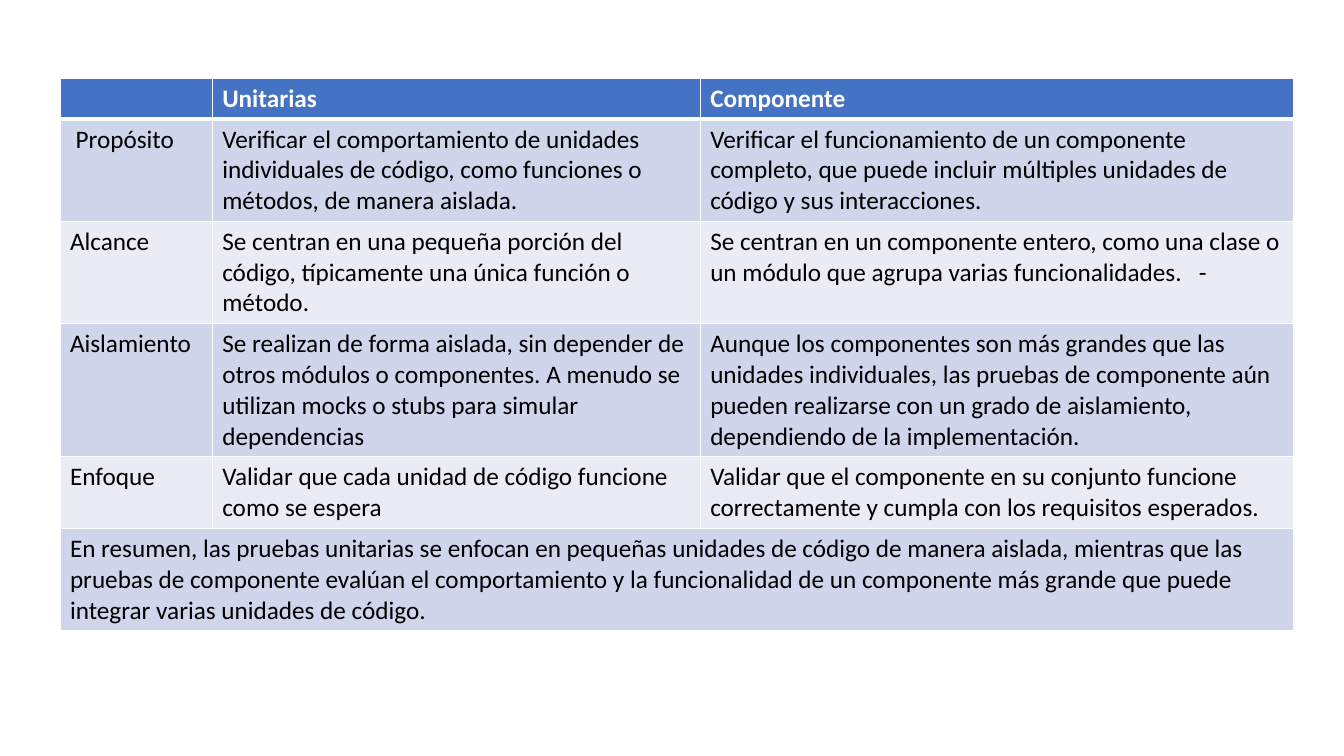
import pptx
import pptx.util
import pptx.dml.color
import pptx.oxml

WHITE, BLACK, BLUE = "FFFFFF", "000000", "4472C4"
BANDS = ["CFD5EA", "E9EBF5"]
WIDTHS = [11.33, 36.31, 44.19]
LINES = [1, 3, 3, 4, 2, 3]
ROWS = [
    ["", "Unitarias", "Componente"],
    [" Propósito",
     "Verificar el comportamiento de unidades individuales de código, como funciones o métodos, de manera aislada.",
     "Verificar el funcionamiento de un componente completo, que puede incluir múltiples unidades de código "
     "y sus interacciones."],
    ["Alcance",
     "Se centran en una pequeña porción del código, típicamente una única función o método.",
     "Se centran en un componente entero, como una clase o un módulo que agrupa varias funcionalidades.   -"],
    ["Aislamiento",
     "Se realizan de forma aislada, sin depender de otros módulos o componentes. A menudo se utilizan mocks "
     "o stubs para simular dependencias",
     "Aunque los componentes son más grandes que las unidades individuales, las pruebas de componente aún "
     "pueden realizarse con un grado de aislamiento, dependiendo de la implementación."],
    ["Enfoque",
     "Validar que cada unidad de código funcione como se espera",
     "Validar que el componente en su conjunto funcione correctamente y cumpla con los requisitos esperados."],
    ["En resumen, las pruebas unitarias se enfocan en pequeñas unidades de código de manera aislada, mientras "
     "que las pruebas de componente evalúan el comportamiento y la funcionalidad de un componente más grande "
     "que puede integrar varias unidades de código.", "", ""],
]


def tint(code):
    return pptx.dml.color.RGBColor.from_string(code)


class Deck:
    """Holds the style and current slide; lengths are percentages of the slide."""

    def __init__(self, font="Calibri", size=18):
        self.font, self.size = font, size
        self.show = pptx.Presentation()
        self.show.slide_width = pptx.util.Inches(13.33)
        self.show.slide_height = pptx.util.Inches(7.5)
        self.slide = self.show.slides.add_slide(self.show.slide_layouts[6])

    def across(self, share):
        return round(self.show.slide_width * share / 100)

    def down(self, share):
        return round(self.show.slide_height * share / 100)

    def label(self, frame, text, color, bold):
        run = frame.paragraphs[0].add_run()
        run.text = text
        run.font.name, run.font.size = self.font, pptx.util.Pt(self.size)
        run.font.bold = bold
        run.font.color.rgb = tint(color)

    def edge(self, cell, side, width):
        props = cell._tc.get_or_add_tcPr()
        props.append(pptx.oxml.parse_xml(
            f'<a:ln{side} xmlns:a="http://schemas.openxmlformats.org/drawingml/2006/main" '
            f'w="{pptx.util.Pt(width)}"><a:solidFill><a:srgbClr val="{WHITE}"/></a:solidFill></a:ln{side}>'))

    def cell(self, cell, text, row):
        head = row == 0
        for side in "LRTB":
            thick = (side == "B" and head) or (side == "T" and row == 1)
            self.edge(cell, side, 3 if thick else 1)
        cell.fill.solid()
        cell.fill.fore_color.rgb = tint(BLUE if head else BANDS[(row - 1) % 2])
        if text:
            self.label(cell.text_frame, text, WHITE if head else BLACK, head)

    def table(self, left, top, widths, heights, rows):
        frame = self.slide.shapes.add_table(
            len(rows), len(widths), self.across(left), self.down(top),
            self.across(sum(widths)), self.down(sum(heights)))
        table = frame.table
        for col, width in zip(table.columns, widths):
            col.width = self.across(width)
        for row, height in zip(table.rows, heights):
            row.height = self.down(height)
        for i, texts in enumerate(rows):
            for j, text in enumerate(texts):
                self.cell(table.cell(i, j), text, i)
        return table


def main():
    deck = Deck()
    heights = [1.4 + 4 * count for count in LINES]
    table = deck.table(4.46, 10.33, WIDTHS, heights, ROWS)
    last = len(ROWS) - 1
    table.cell(last, 0).merge(table.cell(last, len(WIDTHS) - 1))
    deck.show.save("out.pptx")


if __name__ == "__main__":
    main()
